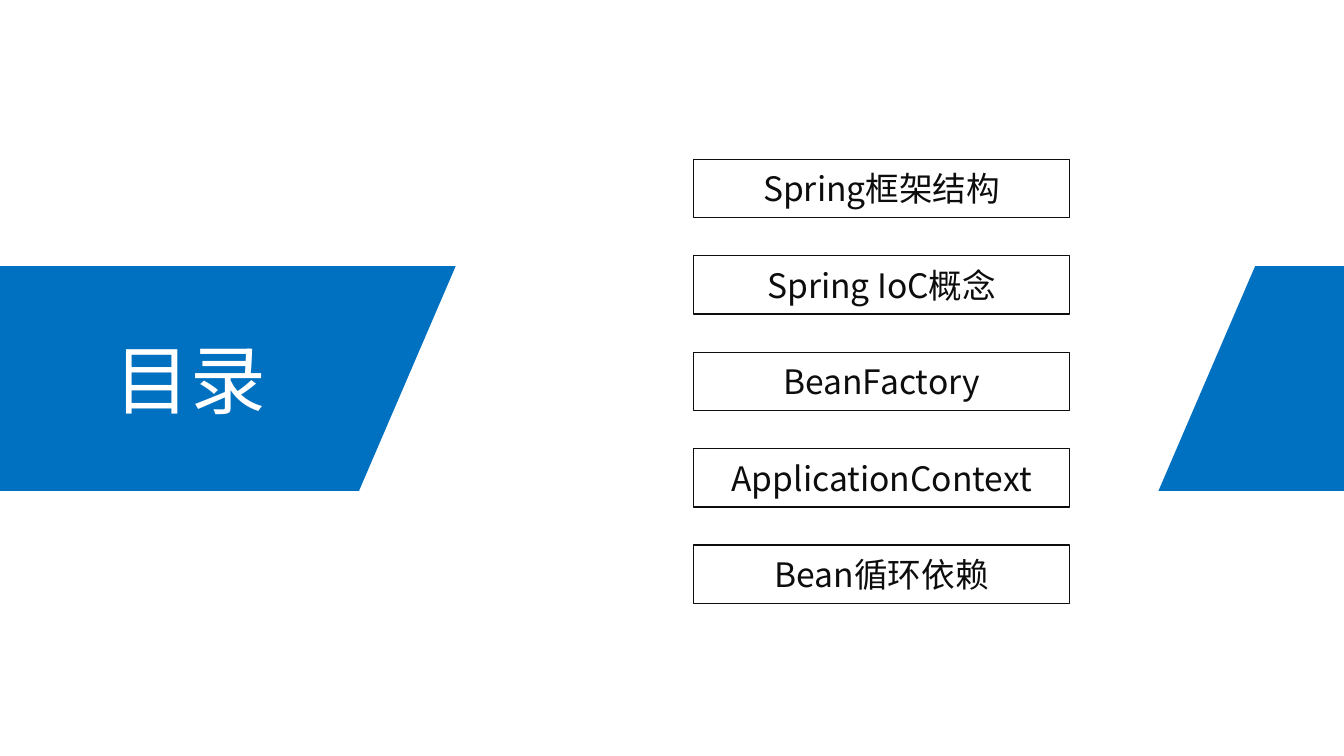
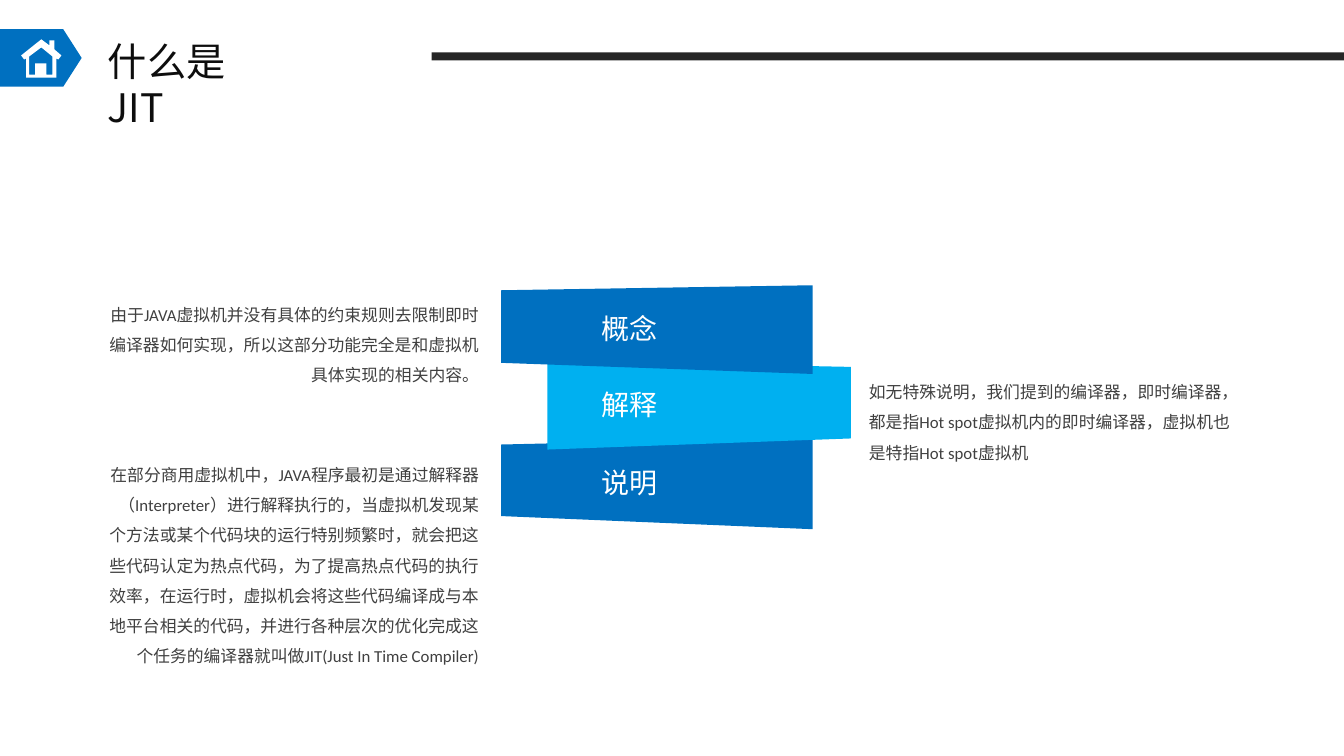
"""Build the contents slide and the JIT slide of a Java training deck."""
import pptx
import pptx.dml.color
import pptx.enum.shapes
import pptx.enum.text
import pptx.util
from lxml import etree

Inches = pptx.util.Inches
SHAPE = pptx.enum.shapes.MSO_SHAPE
ALIGN = pptx.enum.text.PP_ALIGN
ANCHOR = pptx.enum.text.MSO_ANCHOR

BLUE, SKY, WHITE = "0070C0", "00B0F0", "FFFFFF"
INK, BAR, GREY = "0D0D0D", "262626", "404040"
HEADING, BODY = "Noto Sans CJK SC", "Calibri"
DRAWING = "http://schemas.openxmlformats.org/drawingml/2006/main"


def paint(shape, fill=None, line=None):
    """Set fill and outline from hex strings, without a shadow."""
    shape.shadow.inherit = False
    if fill:
        shape.fill.solid()
        shape.fill.fore_color.rgb = pptx.dml.color.RGBColor.from_string(fill)
    else:
        shape.fill.background()
    if line:
        shape.line.color.rgb = pptx.dml.color.RGBColor.from_string(line)
        shape.line.width = pptx.util.Pt(1)
    else:
        shape.line.fill.background()


def write(box, text, size, color, font=HEADING, align=ALIGN.LEFT,
          anchor=ANCHOR.MIDDLE, spacing=None):
    """Write one formatted paragraph into a shape."""
    frame = box.text_frame
    frame.word_wrap = True
    frame.auto_size = pptx.enum.text.MSO_AUTO_SIZE.NONE
    frame.vertical_anchor = anchor
    para = frame.paragraphs[0]
    para.alignment = align
    para.line_spacing = spacing
    span = para.add_run()
    span.text = text
    span.font.size = pptx.util.Pt(size)
    span.font.name = font
    span.font.color.rgb = pptx.dml.color.RGBColor.from_string(color)
    east_asian = etree.Element(f"{{{DRAWING}}}ea", typeface=font)
    span.font._element.find(f"{{{DRAWING}}}latin").addnext(east_asian)


deck = pptx.Presentation()
deck.slide_width, deck.slide_height = Inches(13.33), Inches(7.5)
title_only = deck.slide_layouts[5]

page = deck.slides.add_slide(title_only)
title = page.shapes.title
title.left, title.top = Inches(1.04), Inches(3.25)
title.width, title.height = Inches(2.19), Inches(1.01)
write(title, "目录", 54, WHITE)
for left, width in [(-1.09, 5.61), (11.49, 2.97)]:
    band = page.shapes.add_shape(SHAPE.PARALLELOGRAM, Inches(left), Inches(2.64),
                                 Inches(width), Inches(2.23))
    band.adjustments[0] = 0.43
    paint(band, BLUE)
    title.element.addprevious(band.element)

topics = ["Spring框架结构", "Spring IoC概念", "BeanFactory",
          "ApplicationContext", "Bean循环依赖"]
for index, topic in enumerate(topics):
    box = page.shapes.add_shape(SHAPE.RECTANGLE, Inches(6.88),
                                Inches(1.58 + index * 0.957),
                                Inches(3.73), Inches(0.58))
    paint(box, line=INK)
    write(box, topic, 24, INK, align=ALIGN.CENTER)

page = deck.slides.add_slide(title_only)
title = page.shapes.title
title.left, title.top = Inches(0.97), Inches(0.33)
title.width, title.height = Inches(1.8), Inches(1.02)
write(title, "什么是JIT", 28, INK, anchor=ANCHOR.TOP, spacing=pptx.util.Pt(33))

rule = page.shapes.add_shape(SHAPE.RECTANGLE, Inches(4.28), Inches(0.52),
                             Inches(9.05), Inches(0.08))
paint(rule, BAR)
tag = page.shapes.add_shape(SHAPE.PENTAGON, 0, Inches(0.29),
                            Inches(0.81), Inches(0.57))
tag.adjustments[0] = 0.32
paint(tag, BLUE)

house = [(0.54, 0.49), (0.54, 0.4), (0.49, 0.4), (0.49, 0.45), (0.41, 0.39),
         (0.21, 0.55), (0.24, 0.59), (0.26, 0.58), (0.26, 0.77), (0.56, 0.77),
         (0.56, 0.58), (0.58, 0.59), (0.61, 0.55)]
opening = [(0.52, 0.74), (0.46, 0.74), (0.46, 0.63), (0.35, 0.63), (0.35, 0.74),
           (0.29, 0.74), (0.29, 0.56), (0.41, 0.47), (0.52, 0.56)]
lower_fold = [(8.06, 4.34), (8.06, 5.25), (4.97, 5.12), (4.97, 4.41)]
middle_fold = [(5.43, 3.58), (5.43, 4.46), (8.44, 4.35), (8.44, 3.64)]
upper_fold = [(8.06, 2.83), (8.06, 3.71), (4.97, 3.6), (4.97, 2.88)]
for color, outlines in [(WHITE, [house, opening]), (BLUE, [lower_fold]),
                        (SKY, [middle_fold]), (BLUE, [upper_fold])]:
    builder = None
    for outline in outlines:
        points = [(Inches(x), Inches(y)) for x, y in outline]
        if builder is None:
            builder = page.shapes.build_freeform(*points[0])
        else:
            builder.move_to(*points[0])
        builder.add_line_segments(points[1:], close=True)
    paint(builder.convert_to_shape(), color)

for top, label in [(3.04, "概念"), (3.79, "解释"), (4.56, "说明")]:
    box = page.shapes.add_textbox(Inches(5.87), Inches(top), Inches(1.61), Inches(0.44))
    write(box, label, 20, WHITE)

notes = [
    (0.93, 2.87, 1.01, ALIGN.RIGHT,
     "由于JAVA虚拟机并没有具体的约束规则去限制即时编译器如何实现，"
     "所以这部分功能完全是和虚拟机具体实现的相关内容。"),
    (0.93, 4.46, 2.22, ALIGN.RIGHT,
     "在部分商用虚拟机中，JAVA程序最初是通过解释器（Interpreter）进行解释执行的，"
     "当虚拟机发现某个方法或某个代码块的运行特别频繁时，就会把这些代码认定为热点代码，"
     "为了提高热点代码的执行效率，在运行时，虚拟机会将这些代码编译成与本地平台相关的代码，"
     "并进行各种层次的优化完成这个任务的编译器就叫做JIT(Just In Time Compiler)"),
    (8.52, 3.64, 1.01, ALIGN.LEFT,
     "如无特殊说明，我们提到的编译器，即时编译器，都是指Hot spot虚拟机内的即时编译器，"
     "虚拟机也是特指Hot spot虚拟机"),
]
for left, top, height, align, text in notes:
    box = page.shapes.add_textbox(Inches(left), Inches(top), Inches(3.92), Inches(height))
    write(box, text, 12, GREY, BODY, align, ANCHOR.TOP, 1.5)

deck.save("out.pptx")
